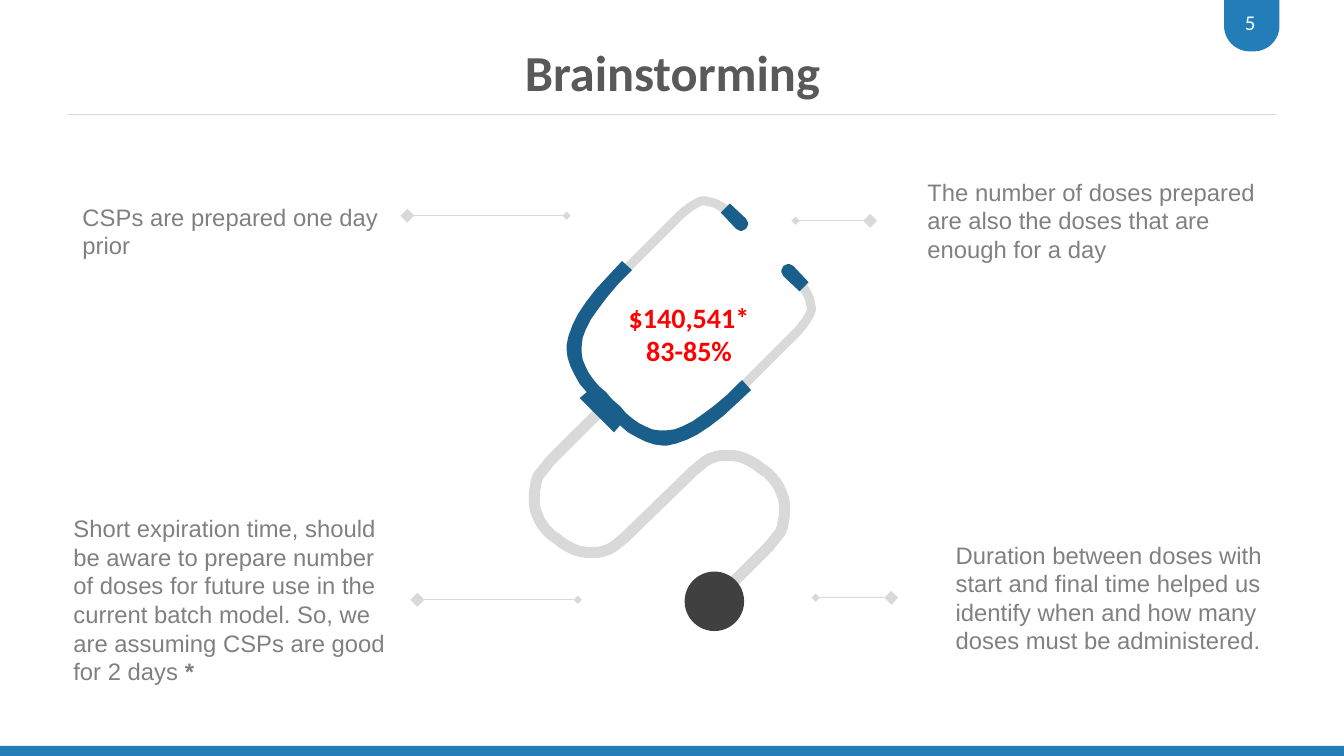
import math
from dataclasses import dataclass

import pptx
import pptx.dml.color
import pptx.enum.shapes
import pptx.enum.text
import pptx.oxml.ns
import pptx.util
from lxml import etree

Inches = pptx.util.Inches
RGBColor = pptx.dml.color.RGBColor
Shape = pptx.enum.shapes.MSO_SHAPE
Align = pptx.enum.text.PP_ALIGN
Anchor = pptx.enum.text.MSO_ANCHOR
Point = tuple[float, float]

BLUE = RGBColor(0x23, 0x7D, 0xB9)
DARK_BLUE = RGBColor(0x1A, 0x5E, 0x8B)
LIGHT_GRAY = RGBColor(0xD9, 0xD9, 0xD9)
MID_GRAY = RGBColor(0x80, 0x80, 0x80)
TITLE_GRAY = RGBColor(0x59, 0x59, 0x59)
CHARCOAL = RGBColor(0x40, 0x40, 0x40)
WHITE = RGBColor(0xFF, 0xFF, 0xFF)
RED = RGBColor(0xFF, 0x00, 0x00)


@dataclass
class Label:
    left: float
    top: float
    width: float
    height: float
    paragraphs: list[list[str]]  # runs after the first are bold
    size: float = 17
    font: str = "Arial"
    color: RGBColor = MID_GRAY
    bold: bool = False
    align: Align = Align.LEFT
    anchor: Anchor = Anchor.TOP
    inset: Point = (0.1, 0.05)


@dataclass
class Pointer:
    start: float
    end: float
    y: float


LABELS = [
    Label(0.67, 0.3, 12, 0.78, [["Brainstorming"]], 36, "Calibri", TITLE_GRAY, True,
          Align.CENTER, Anchor.BOTTOM, (0.13, 0.07)),
    Label(12.08, 0.02, 0.64, 0.4, [["5"]], 15, "Calibri", WHITE, False,
          Align.CENTER, Anchor.MIDDLE, (0.13, 0.07)),
    Label(0.72, 1.96, 3.33, 0.67, [["CSPs are prepared one day prior"]]),
    Label(9.1, 1.71, 3.54, 0.96,
          [["The number of doses prepared are also the doses that are enough for a day"]]),
    Label(0.63, 5.05, 3.33, 1.82,
          [["Short expiration time, should be aware to prepare number of doses for future use "
            "in the current batch model. So, we are assuming CSPs are good for 2 days ", "*"]]),
    Label(9.38, 5.31, 3.28, 1.25,
          [["Duration between doses with start and final time helped us identify when and "
            "how many doses must be administered."]]),
    Label(6.07, 2.93, 1.53, 0.77, [["$140,541*"], ["83-85%"]], 20, "Calibri", RED, True,
          Align.CENTER),
]
POINTERS = [Pointer(5.62, 4.04, 2.14), Pointer(7.89, 8.63, 2.19),
            Pointer(5.73, 4.14, 5.95), Pointer(8.09, 8.84, 5.93)]

# Stethoscope: the head mirrors across x + y = MIRROR_SUM, the hose turns about its middle
MIRROR_SUM = 10.04
HOSE_SUM = (13.08, 10.0)
HALF_HOSE: list[Point] = [
    (5.93, 4.1), (5.46, 4.57), (5.42, 4.62), (5.38, 4.67), (5.34, 4.72), (5.32, 4.77),
    (5.31, 4.83), (5.3, 4.89), (5.3, 4.95), (5.3, 5.0), (5.31, 5.06), (5.33, 5.11),
    (5.35, 5.16), (5.38, 5.21), (5.42, 5.26), (5.47, 5.31), (5.53, 5.35), (5.58, 5.39),
    (5.63, 5.42), (5.69, 5.45), (5.75, 5.47), (5.81, 5.48), (5.87, 5.48), (5.93, 5.48),
    (5.98, 5.47), (6.04, 5.45), (6.09, 5.42), (6.14, 5.38), (6.2, 5.33)]
EAR_TUBE: list[Point] = [
    (6.22, 2.66), (6.62, 2.26), (6.69, 2.19), (6.75, 2.13), (6.8, 2.09), (6.85, 2.05),
    (6.9, 2.02), (6.94, 2.0), (6.98, 1.99), (7.02, 2.0), (7.07, 2.01), (7.12, 2.03),
    (7.17, 2.06), (7.23, 2.1)]
EAR_TIP: list[Point] = [
    (7.24, 2.02), (7.4, 2.17), (7.42, 2.21), (7.42, 2.23), (7.4, 2.27), (7.36, 2.29),
    (7.34, 2.29), (7.3, 2.27), (7.15, 2.11)]
HALF_YOKE: list[Point] = [
    (5.75, 3.95), (5.82, 3.89), (5.75, 3.81), (5.7, 3.72), (5.66, 3.64), (5.63, 3.55),
    (5.62, 3.47), (5.62, 3.42), (5.64, 3.33), (5.68, 3.22), (5.73, 3.12), (5.81, 3.0),
    (5.91, 2.87), (6.03, 2.74), (6.17, 2.59), (6.27, 2.68), (6.13, 2.82), (6.02, 2.95),
    (5.93, 3.07), (5.86, 3.17), (5.81, 3.27), (5.78, 3.35), (5.77, 3.43), (5.77, 3.5),
    (5.78, 3.57), (5.81, 3.64), (5.84, 3.7), (5.89, 3.77), (5.94, 3.83), (6.01, 3.89),
    (6.07, 3.96)]


def mirrored(points: list[Point]) -> list[Point]:
    return [(MIRROR_SUM - y, MIRROR_SUM - x) for x, y in reversed(points)]


def tube(center: list[Point], width: float) -> list[Point]:
    """Outline of a band of even width along a centre line."""
    left, right = [], []
    for index, (x, y) in enumerate(center):
        before = center[max(index - 1, 0)]
        after = center[min(index + 1, len(center) - 1)]
        angle = math.atan2(after[1] - before[1], after[0] - before[0])
        across, down = -math.sin(angle) * width / 2, math.cos(angle) * width / 2
        left.append((x + across, y + down))
        right.append((x - across, y - down))
    return left + right[::-1]


def paint(shape, color: RGBColor) -> None:
    shape.shadow.inherit = False
    shape.fill.solid()
    shape.fill.fore_color.rgb = color
    shape.line.fill.background()


def add_preset(shapes, kind: Shape, left: float, top: float, width: float, height: float,
               color: RGBColor):
    shape = shapes.add_shape(kind, Inches(left), Inches(top), Inches(width), Inches(height))
    paint(shape, color)
    return shape


def add_outline(shapes, points: list[Point], color: RGBColor) -> None:
    corners = [(Inches(x), Inches(y)) for x, y in points]
    builder = shapes.build_freeform(*corners[0])
    builder.add_line_segments(corners[1:], close=True)
    paint(builder.convert_to_shape(), color)


def add_line(shapes, start: float, end: float, y: float, diamonds: bool = False) -> None:
    line = shapes.add_connector(pptx.enum.shapes.MSO_CONNECTOR.STRAIGHT,
                                Inches(start), Inches(y), Inches(end), Inches(y))
    line.line.color.rgb = LIGHT_GRAY
    line.line.width = pptx.util.Pt(0.75)
    if diamonds:
        for tag, size in (("a:headEnd", "med"), ("a:tailEnd", "lg")):
            etree.SubElement(line.line._get_or_add_ln(), pptx.oxml.ns.qn(tag),
                             type="diamond", w=size, len=size)
    etree.SubElement(line._element.spPr, pptx.oxml.ns.qn("a:effectLst"))


def add_label(shapes, label: Label) -> None:
    box = shapes.add_textbox(Inches(label.left), Inches(label.top),
                             Inches(label.width), Inches(label.height))
    frame = box.text_frame
    frame.word_wrap = True
    frame.vertical_anchor = label.anchor
    frame.margin_left = frame.margin_right = Inches(label.inset[0])
    frame.margin_top = frame.margin_bottom = Inches(label.inset[1])
    for index, texts in enumerate(label.paragraphs):
        para = frame.add_paragraph() if index else frame.paragraphs[0]
        para.alignment = label.align
        para.font.name = label.font
        para.font.size = pptx.util.Pt(label.size)
        para.font.color.rgb = label.color
        para.font.bold = label.bold
        for position, text in enumerate(texts):
            span = para.add_run()
            span.text = text
            if position:
                span.font.bold = True


def add_stethoscope(page) -> None:
    shapes = page.shapes.add_group_shape().shapes
    turned = [(HOSE_SUM[0] - x, HOSE_SUM[1] - y) for x, y in reversed(HALF_HOSE)]
    add_outline(shapes, tube(HALF_HOSE + turned, 0.11), LIGHT_GRAY)
    add_preset(shapes, Shape.OVAL, 6.79, 5.67, 0.59, 0.59, CHARCOAL)
    for points, color in ((tube(EAR_TUBE, 0.09), LIGHT_GRAY), (EAR_TIP, DARK_BLUE)):
        add_outline(shapes, points, color)
        add_outline(shapes, mirrored(points), color)
    add_outline(shapes, HALF_YOKE + mirrored(HALF_YOKE), DARK_BLUE)


def main() -> None:
    deck = pptx.Presentation()
    deck.slide_width, deck.slide_height = Inches(13.33), Inches(7.5)
    page = deck.slides.add_slide(deck.slide_layouts[6])

    # Page frame
    tab = add_preset(page.shapes, Shape.ROUND_2_SAME_RECTANGLE, 12.14, 0, 0.55, 0.51, BLUE)
    tab.adjustments[0], tab.adjustments[1] = 0, 0.5
    add_preset(page.shapes, Shape.RECTANGLE, 0, 7.4, 13.33, 0.1, BLUE)
    add_line(page.shapes, 0.67, 12.66, 1.14)

    # Illustration, pointers and wording
    add_stethoscope(page)
    for pointer in POINTERS:
        add_line(page.shapes, pointer.start, pointer.end, pointer.y, diamonds=True)
    for label in LABELS:
        add_label(page.shapes, label)

    deck.save("out.pptx")


if __name__ == "__main__":
    main()
